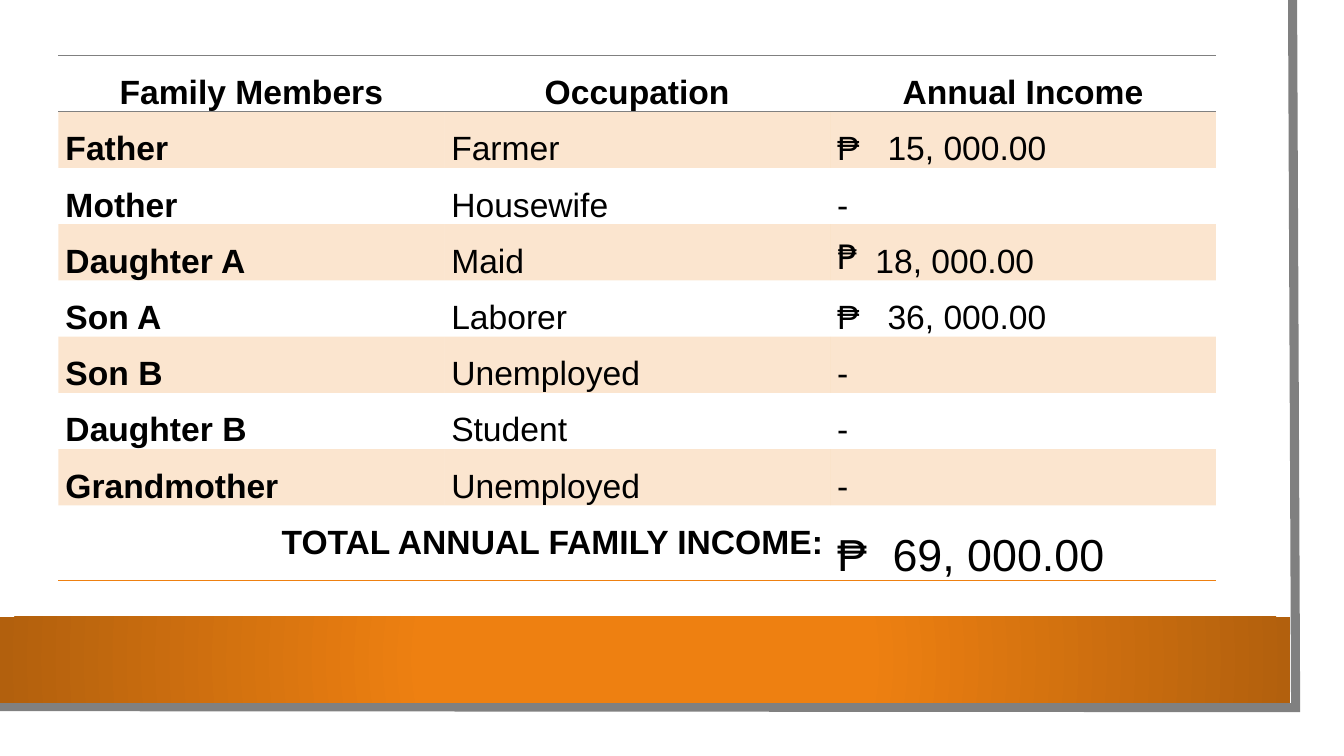
from lxml import etree
from pptx import Presentation
from pptx.dml.color import RGBColor
from pptx.enum.shapes import MSO_SHAPE
from pptx.enum.text import PP_ALIGN
from pptx.oxml.ns import qn
from pptx.util import Inches, Pt

RECTANGLE = MSO_SHAPE.RECTANGLE
CENTER, RIGHT, JUSTIFY = PP_ALIGN.CENTER, PP_ALIGN.RIGHT, PP_ALIGN.JUSTIFY
ORANGE, BROWN, GRAY, WHITE, BLACK = "EE8011", "B2600D", "808080", "FFFFFF", "000000"
PLAIN_STYLE = "{2D5ABB26-0587-4C30-8999-92F81FD0307C}"
PESO = "\u20b1"

HEADINGS = ["Family Members", "Occupation", "Annual Income"]
# Member, occupation, income and its format
MEMBERS = [
    ("Father", "Farmer", f"{PESO}\t15, 000.00", {"tab": 0.5}),
    ("Mother", "Housewife", "-", {}),
    ("Daughter A", "Maid", "18, 000.00", {"bullet": PESO, "hang": 0.38}),
    ("Son A", "Laborer", f"{PESO}\t36, 000.00", {"tab": 0.5}),
    ("Son B", "Unemployed", "-", {}),
    ("Daughter B", "Student", "-", {}),
    ("Grandmother", "Unemployed", "-", {}),
]


def color(hex_string):
    return RGBColor.from_string(hex_string)


def add_xml(parent, tag, **attributes):
    element = etree.SubElement(parent, qn(tag))
    for name, value in attributes.items():
        element.set(name, str(value))
    return element


def add_color(parent, hex_string):
    return add_xml(parent, "a:srgbClr", val=hex_string)


def write(cell, text, size=24, bold=False, align=JUSTIFY, tab=None, bullet=None, hang=0):
    cell.margin_left = cell.margin_right = Inches(0.07)
    cell.margin_top = cell.margin_bottom = 0
    para = cell.text_frame.paragraphs[0]
    para.alignment = align
    para.line_spacing = 1.5
    span = para.add_run()
    span.text = text
    span.font.name = "Arial"
    span.font.size = Pt(size)
    span.font.bold = bold
    span.font.color.rgb = color(BLACK)
    properties = para._p.get_or_add_pPr()
    if bullet:
        properties.set("marL", str(Inches(hang)))
        properties.set("indent", str(-Inches(hang)))
        add_xml(properties, "a:buChar", char=bullet)
    if tab:
        stops = add_xml(properties, "a:tabLst")
        add_xml(stops, "a:tab", pos=Inches(tab), algn="l")


def shade(cell, hex_string, opacity):
    cell.fill.solid()
    cell.fill.fore_color.rgb = color(hex_string)
    tint = cell._tc.tcPr.find(f"{qn('a:solidFill')}/{qn('a:srgbClr')}")
    add_xml(tint, "a:alpha", val=opacity * 1000)


def rule(cell, hex_string, *sides):
    properties = cell._tc.get_or_add_tcPr()
    for position, side in enumerate(sides):
        line = add_xml(properties, side, w=Pt(1))
        add_color(add_xml(line, "a:solidFill"), hex_string)
        properties.insert(position, line)


def add_block(page, left, top, width, height, fill):
    block = page.shapes.add_shape(
        RECTANGLE, Inches(left), Inches(top), Inches(width), Inches(height))
    block.shadow.inherit = False
    block.line.fill.background()
    block.fill.solid()
    block.fill.fore_color.rgb = color(fill)
    return block


def draw_frame(page, left, top, width, height):
    # White sheet
    add_block(page, left, top, width, height, WHITE)

    # Gray edge down the right side and along the bottom
    right, bottom = left + width - 0.25, top + height - 0.25
    builder = page.shapes.build_freeform(Inches(right - 0.03), Inches(top))
    builder.add_line_segments(
        [(Inches(right), Inches(bottom)), (Inches(left - 0.03), Inches(bottom - 0.01))],
        close=False)
    edge = builder.convert_to_shape()
    edge.shadow.inherit = False
    edge.fill.background()
    edge.line.color.rgb = color(GRAY)
    edge.line.width = Pt(6.5)
    add_xml(edge.line._ln, "a:miter", lim=800000)

    # Orange band with a radial gradient
    band = add_block(page, left, top + height - 1.15, width - 0.3, 0.85, ORANGE)
    band.fill.gradient()
    gradient = band._element.spPr.find(qn("a:gradFill"))
    for child in list(gradient):
        gradient.remove(child)
    stops = add_xml(gradient, "a:gsLst")
    for percent, shade_color in ((34, ORANGE), (100, BROWN)):
        add_color(add_xml(stops, "a:gs", pos=percent * 1000), shade_color)
    circle = add_xml(gradient, "a:path", path="circle")
    add_xml(circle, "a:fillToRect", l=50000, t=50000, r=50000, b=50000)


def draw_income_table(page, left, top, width, height):
    total_row = len(MEMBERS) + 1
    frame = page.shapes.add_table(
        total_row + 1, len(HEADINGS), Inches(left), Inches(top), Inches(width), Inches(height))
    table = frame.table
    table.horz_banding = False
    table._tbl.tblPr.find(qn("a:tableStyleId")).text = PLAIN_STYLE
    for column in table.columns:
        column.width = Inches(width / len(HEADINGS))
    for row in table.rows:
        row.height = Inches((height - 0.64) / total_row)
    table.rows[total_row].height = Inches(0.64)

    # Headings
    for column, heading in enumerate(HEADINGS):
        cell = table.cell(0, column)
        write(cell, heading, bold=True, align=CENTER)
        rule(cell, GRAY, "a:lnT", "a:lnB")

    # Family members, every other row shaded
    for row, (member, occupation, income, income_format) in enumerate(MEMBERS, 1):
        write(table.cell(row, 0), member, bold=True)
        write(table.cell(row, 1), occupation)
        write(table.cell(row, 2), income, **income_format)
        if row % 2:
            for cell in table.rows[row].cells:
                shade(cell, ORANGE, 20)

    # Total
    label = table.cell(total_row, 0)
    label.merge(table.cell(total_row, 1))
    write(label, "TOTAL ANNUAL FAMILY INCOME:", bold=True, align=RIGHT)
    write(table.cell(total_row, 2), f"{PESO}\t69, 000.00", size=32, tab=0.55)
    for cell in table.rows[total_row].cells:
        rule(cell, ORANGE, "a:lnB")


deck = Presentation()
deck.slide_width, deck.slide_height = Inches(13.33), Inches(7.5)
page = deck.slides.add_slide(deck.slide_layouts[6])
draw_frame(page, 0, 0, 13.1, 7.27)
draw_income_table(page, 0.58, 0.55, 11.48, 5.1)
deck.save("out.pptx")
